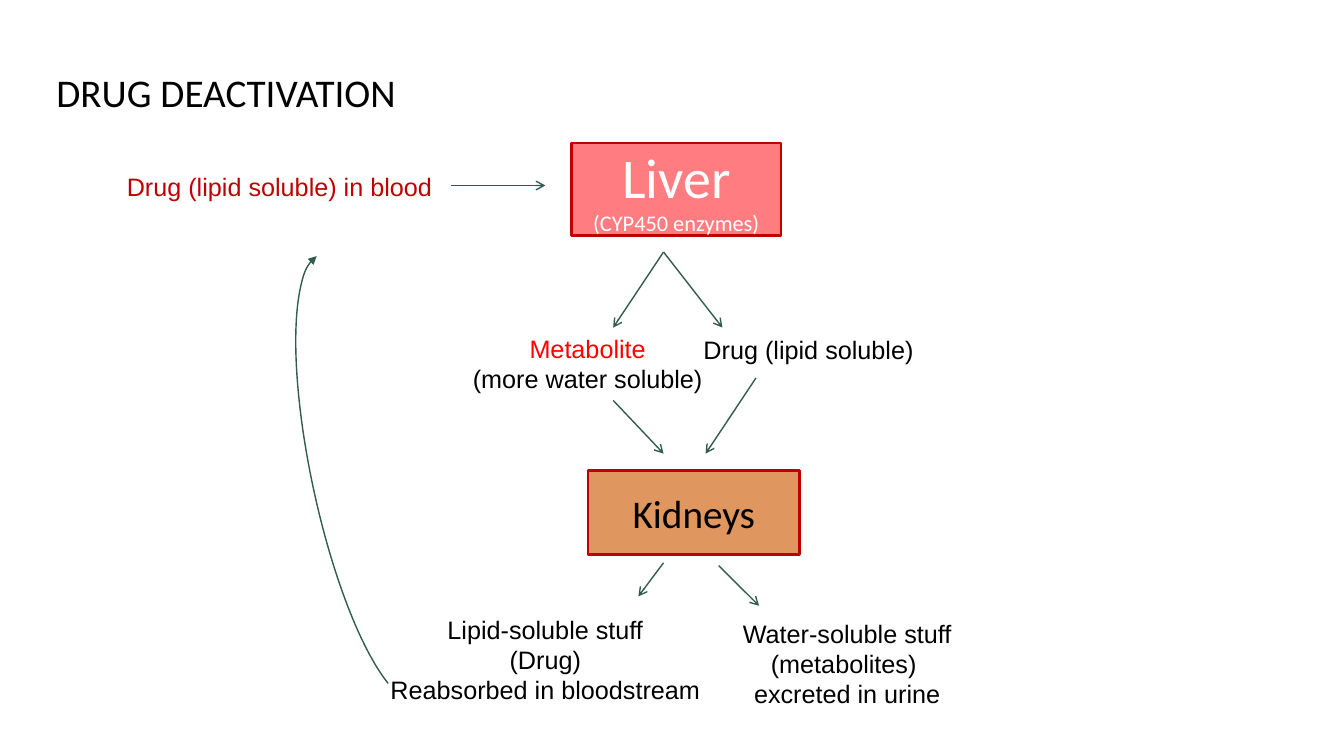
import lxml.etree
import pptx
import pptx.dml.color
import pptx.enum.shapes
import pptx.enum.text
import pptx.oxml.ns
import pptx.util

Pt = pptx.util.Pt
RGBColor = pptx.dml.color.RGBColor
MSO_SHAPE = pptx.enum.shapes.MSO_SHAPE
MSO_ANCHOR = pptx.enum.text.MSO_ANCHOR
PP_ALIGN = pptx.enum.text.PP_ALIGN
qn = pptx.oxml.ns.qn

BLACK = RGBColor(0x00, 0x00, 0x00)
WHITE = RGBColor(0xFF, 0xFF, 0xFF)
RED = RGBColor(0xFF, 0x00, 0x00)
DARK_RED = RGBColor(0xC0, 0x00, 0x00)
LIVER_PINK = RGBColor(0xFF, 0x7C, 0x80)
KIDNEY_ORANGE = RGBColor(0xE0, 0x96, 0x5F)
ARROW_GREEN = RGBColor(0x31, 0x5C, 0x4F)

ARROWS = [
    (321.8, 132.5, 389.5, 132.5),
    (474, 180, 438, 234),
    (474, 180, 516, 234),
    (438, 286, 474, 324),
    (540, 270, 504, 324),
    (474, 402, 456, 426),
    (513.4, 404, 542.2, 432.7),
]


def add_run(paragraph, text, size, font_name, color):
    run = paragraph.add_run()
    run.text = text
    run.font.size = Pt(size)
    run.font.name = font_name
    run.font.color.rgb = color


def add_title(slide, text):
    title = slide.shapes.title
    title.left, title.top, title.width, title.height = map(Pt, (33.1, 45.4, 298, 53.3))
    title.text_frame.vertical_anchor = MSO_ANCHOR.TOP
    title.text_frame.word_wrap = True
    paragraph = title.text_frame.paragraphs[0]
    paragraph.alignment = PP_ALIGN.LEFT
    add_run(paragraph, text, 28, "Calibri", BLACK)


def add_label(slide, box, lines, alignment=PP_ALIGN.CENTER):
    text_frame = slide.shapes.add_textbox(*map(Pt, box)).text_frame
    text_frame.word_wrap = False
    text_frame.auto_size = pptx.enum.text.MSO_AUTO_SIZE.SHAPE_TO_FIT_TEXT
    for index, (text, color) in enumerate(lines):
        paragraph = text_frame.add_paragraph() if index else text_frame.paragraphs[0]
        paragraph.alignment = alignment
        add_run(paragraph, text, 18, "Arial", color)


def add_organ(slide, box, fill_color, text_color, runs):
    shape = slide.shapes.add_shape(MSO_SHAPE.RECTANGLE, *map(Pt, box))
    shape.shadow.inherit = False
    shape.fill.solid()
    shape.fill.fore_color.rgb = fill_color
    shape.line.color.rgb = DARK_RED
    shape.line.width = Pt(1.75)
    shape.text_frame.word_wrap = True
    shape.text_frame.vertical_anchor = MSO_ANCHOR.MIDDLE
    paragraph = shape.text_frame.paragraphs[0]
    paragraph.alignment = PP_ALIGN.CENTER
    for text, size in runs:
        add_run(paragraph, text, size, "Calibri", text_color)


def style_arrow(shape, end_tag, arrow_type):
    shape.line.color.rgb = ARROW_GREEN
    shape.line.width = Pt(1)
    line = shape._element.spPr.find(qn("a:ln"))
    lxml.etree.SubElement(line, qn(end_tag), type=arrow_type)


def add_arrow(slide, points):
    connector = slide.shapes.add_connector(
        pptx.enum.shapes.MSO_CONNECTOR.STRAIGHT, *map(Pt, points))
    style_arrow(connector, "a:tailEnd", "arrow")
    lxml.etree.SubElement(connector._element.spPr, qn("a:effectLst"))


def add_return_arc(slide, box):
    arc = slide.shapes.add_shape(MSO_SHAPE.ARC, *map(Pt, box))
    arc.shadow.inherit = False
    arc.fill.background()
    arc.adjustments[0] = 162.78
    arc.adjustments[1] = 49.73
    arc.rotation = 347.8
    arc._element.spPr.find(qn("a:xfrm")).set("flipH", "1")
    style_arrow(arc, "a:headEnd", "triangle")


def main():
    presentation = pptx.Presentation()
    presentation.slide_width = Pt(960)
    presentation.slide_height = Pt(540)
    slide = presentation.slides.add_slide(presentation.slide_layouts[5])

    add_title(slide, "DRUG DEACTIVATION")
    add_organ(slide, (408.2, 102.2, 149.8, 66.2), LIVER_PINK, WHITE,
              [("Liver ", 40), ("(CYP450 enzymes)", 16)])
    add_organ(slide, (420, 336, 151.2, 60), KIDNEY_ORANGE, BLACK, [("Kidneys", 28)])

    add_label(slide, (83.5, 118.8, 234.7, 28.8),
              [("Drug (lipid soluble) in blood", DARK_RED)], PP_ALIGN.LEFT)
    add_label(slide, (329.8, 234.7, 180, 51.1),
              [("Metabolite", RED), ("(more water soluble)", BLACK)])
    add_label(slide, (495.4, 235.4, 166.3, 28.8),
              [("Drug (lipid soluble)", BLACK)], PP_ALIGN.LEFT)
    add_label(slide, (522.7, 437.8, 164.9, 72.7),
              [("Water-soluble stuff", BLACK), ("(metabolites) ", BLACK),
               ("excreted in urine", BLACK)])
    add_label(slide, (270.7, 434.9, 237.6, 72.7),
              [("Lipid-soluble stuff", BLACK), ("(Drug)", BLACK),
               ("Reabsorbed in bloodstream", BLACK)])

    for points in ARROWS:
        add_arrow(slide, points)
    add_return_arc(slide, (223.2, 177.8, 82.1, 326.9))

    presentation.save("out.pptx")


if __name__ == "__main__":
    main()
